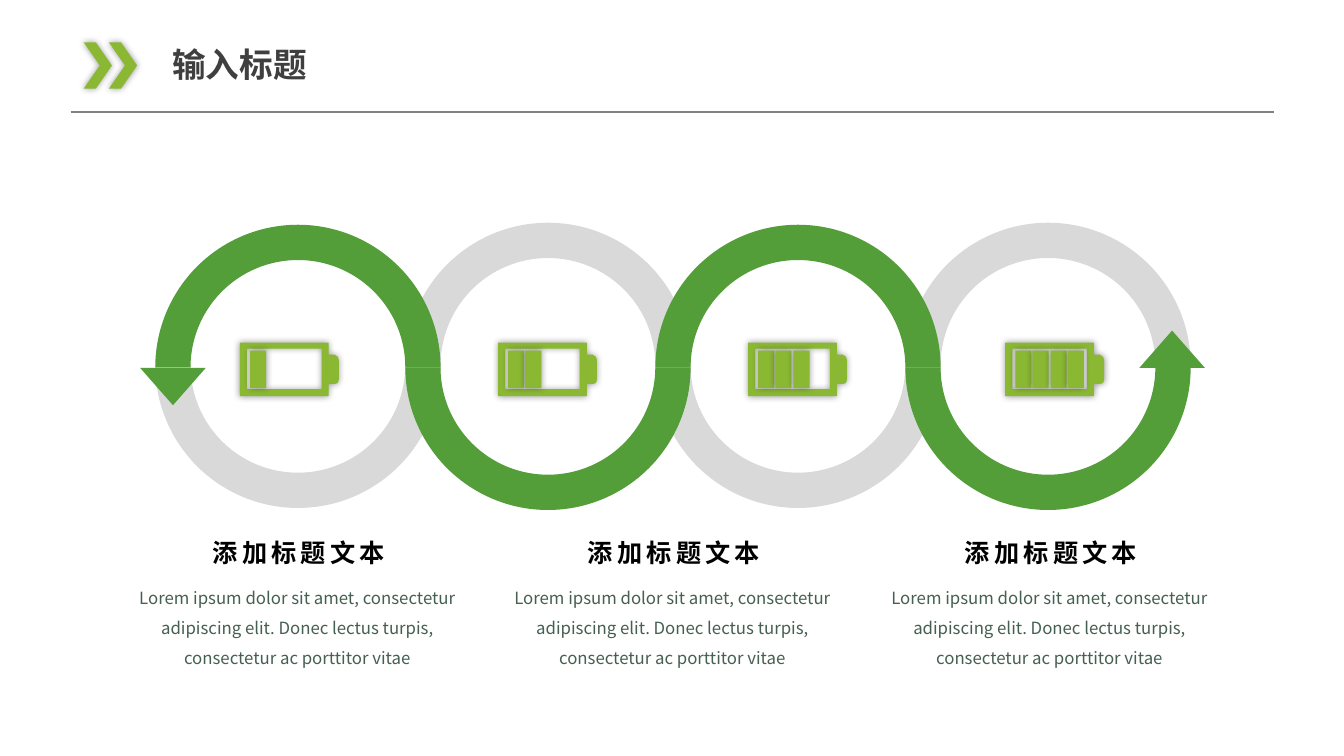
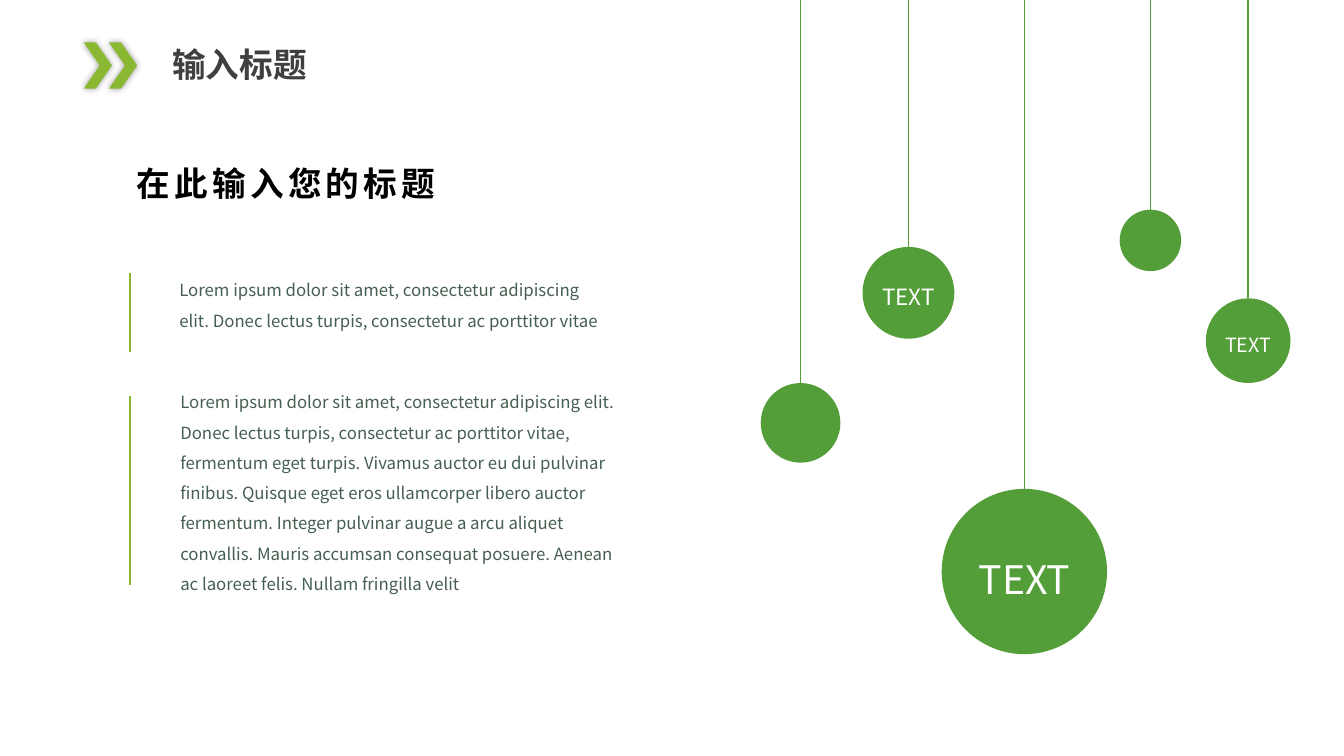
from lxml import etree
from pptx import Presentation
from pptx.dml.color import RGBColor
from pptx.enum import shapes, text
from pptx.oxml import ns
from pptx.util import Pt

PX = 9144  # EMU in one px, 100 px to the inch
FONT = "Noto Sans CJK SC"
GREEN, LIME, GRAY, RULE = "549E39", "8AB833", "D9D9D9", "808080"
TITLE, BLACK, BODY, WHITE = "3F3F3F", "000000", "455F51", "FFFFFF"
SHAPE = shapes.MSO_SHAPE
ALIGN = text.PP_ALIGN
LOREM = ("Lorem ipsum dolor sit amet, consectetur adipiscing elit. "
         "Donec lectus turpis, consectetur ac porttitor vitae")
LONG_LOREM = LOREM + (
    ", fermentum eget turpis. Vivamus auctor eu dui pulvinar finibus. "
    "Quisque eget eros ullamcorper libero auctor fermentum. Integer pulvinar "
    "augue a arcu aliquet convallis. Mauris accumsan consequat posuere. "
    "Aenean ac laoreet felis. Nullam fringilla velit")


def paint(item, color, line_width=None, glow=False):
    """Color a shape, or a connector when line_width is given."""
    if line_width:
        item.line.color.rgb = RGBColor.from_string(color)
        item.line.width = Pt(line_width)
    else:
        item.fill.solid()
        item.fill.fore_color.rgb = RGBColor.from_string(color)
        item.line.fill.background()
    effects = etree.SubElement(item._element.spPr, ns.qn("a:effectLst"))
    if glow:
        shadow = etree.SubElement(effects, ns.qn("a:outerShdw"), blurRad=str(Pt(5)))
        black = etree.SubElement(shadow, ns.qn("a:srgbClr"), val=BLACK)
        etree.SubElement(black, ns.qn("a:alpha"), val="40000")


def write(box, words, size, color, align=ALIGN.LEFT, bold=False,
          spacing=1, tracking=0, wrap=True):
    frame = box.text_frame
    frame.text = words
    frame.word_wrap = wrap
    para = frame.paragraphs[0]
    para.alignment = align
    para.line_spacing = spacing
    span = para.runs[0]
    span.font.size = Pt(size)
    span.font.bold = bold
    span.font.color.rgb = RGBColor.from_string(color)
    span.font.name = FONT
    properties = span._r.get_or_add_rPr()
    etree.SubElement(properties, ns.qn("a:ea"), typeface=FONT)
    if tracking:
        properties.set("spc", str(tracking * 100))


deck = Presentation()
deck.slide_width, deck.slide_height = 1333 * PX, 750 * PX
cycle_page, pendulum_page = [deck.slides.add_slide(deck.slide_layouts[6])
                             for _ in range(2)]

# Shared header: two chevrons and the title
for page in (cycle_page, pendulum_page):
    for left in (108, 83):
        chevron = page.shapes.add_shape(
            SHAPE.CHEVRON, left * PX, 42 * PX, 28 * PX, 46 * PX)
        chevron.adjustments[0] = 0.57
        paint(chevron, LIME, glow=True)
    box = page.shapes.add_textbox(161 * PX, 39 * PX, 219 * PX, 50 * PX)
    write(box, "输入标题", 24, TITLE, ALIGN.JUSTIFY, bold=True)

# Header rule and the bars beside the paragraphs
for page, x1, y1, x2, y2, color, width in (
        (cycle_page, 70, 111, 1264, 111, RULE, 1),
        (pendulum_page, 129, 271, 129, 349, LIME, 1.25),
        (pendulum_page, 129, 393, 129, 580, LIME, 1.25)):
    line = page.shapes.add_connector(
        shapes.MSO_CONNECTOR.STRAIGHT, x1 * PX, y1 * PX, x2 * PX, y2 * PX)
    paint(line, color, width)

# Chain of half rings: gray behind, green wave in front
RING, BAND, PITCH = 283, 35, 248
for color, top, first_upper in ((GRAY, 221, 1), (GREEN, 223, 0)):
    for index in range(4):
        arc = cycle_page.shapes.add_shape(
            SHAPE.BLOCK_ARC, (154 + index * PITCH) * PX, top * PX,
            RING * PX, RING * PX)
        upper = index % 2 == first_upper
        arc.adjustments[0] = 108 if upper else 0  # 108 is a half turn
        arc.adjustments[1] = 0 if upper else 108
        arc.adjustments[2] = BAND / RING
        paint(arc, color)

# Arrowheads at both ends of the wave
for left, top, turn in ((139, 365, 180), (1130, 328, 0)):
    head = cycle_page.shapes.add_shape(
        SHAPE.ISOSCELES_TRIANGLE, left * PX, top * PX, 65 * PX, 37 * PX)
    head.rotation = turn
    paint(head, GREEN)

# Batteries with one to four charged cells
for cells, left in enumerate((238, 494, 742, 997), start=1):
    outline = cycle_page.shapes.build_freeform(0, 0, scale=PX)
    outline.add_line_segments([
        (88, 0), (88, 12), (94, 12), (97, 14), (98, 17), (98, 37), (97, 40),
        (94, 41), (88, 41), (88, 53), (0, 53)])
    outline.move_to(7, 6)
    outline.add_line_segments([(7, 46), (81, 46), (81, 6)])
    paint(outline.convert_to_shape(left * PX, 340 * PX), LIME, glow=True)
    for index in range(cells):
        cell = cycle_page.shapes.add_shape(
            SHAPE.RECTANGLE, (left + 10 + index * 35 // 2) * PX, 348 * PX,
            16 * PX, 37 * PX)
        paint(cell, LIME, glow=True)

# Captions below the chain
for left in (115, 487, 861):
    box = cycle_page.shapes.add_textbox(
        (left + 83) * PX, 528 * PX, 197 * PX, 40 * PX)
    write(box, "添加标题文本", 18, BLACK, ALIGN.CENTER, bold=True,
          tracking=3, wrap=False)
    box = cycle_page.shapes.add_textbox(left * PX, 568 * PX, 360 * PX, 97 * PX)
    write(box, LOREM, 12, BODY, ALIGN.CENTER, spacing=1.5)

# Hanging balls: center, top, diameter, text size
for center, top, size, text_size in (
        (794, 380, 79, None), (901, 245, 91, 16), (1016, 485, 164, 28),
        (1141, 208, 61, None), (1238, 296, 84, 14)):
    ball = pendulum_page.shapes.add_shape(
        SHAPE.OVAL, center * PX - size * PX // 2, top * PX, size * PX, size * PX)
    paint(ball, GREEN)
    string = pendulum_page.shapes.add_connector(
        shapes.MSO_CONNECTOR.STRAIGHT, center * PX, 0, center * PX, top * PX)
    string.end_connect(ball, 0)
    paint(string, GREEN, 1.25)
    if text_size:
        write(ball, "TEXT", text_size, WHITE, ALIGN.CENTER, spacing=1.3)
        frame = ball.text_frame
        frame.vertical_anchor = text.MSO_ANCHOR.MIDDLE
        frame.margin_left = frame.margin_right = 0
        frame.margin_top = frame.margin_bottom = 0

# Heading and paragraphs on the left
box = pendulum_page.shapes.add_textbox(126 * PX, 157 * PX, 323 * PX, 50 * PX)
write(box, "在此输入您的标题", 24, BLACK, bold=True, tracking=3, wrap=False)
for words, left, top, width, height in (
        (LOREM, 168, 263, 445, 97), (LONG_LOREM, 169, 374, 466, 219)):
    box = pendulum_page.shapes.add_textbox(
        left * PX, top * PX, width * PX, height * PX)
    write(box, words, 12, BODY, spacing=1.5)

deck.save("out.pptx")
